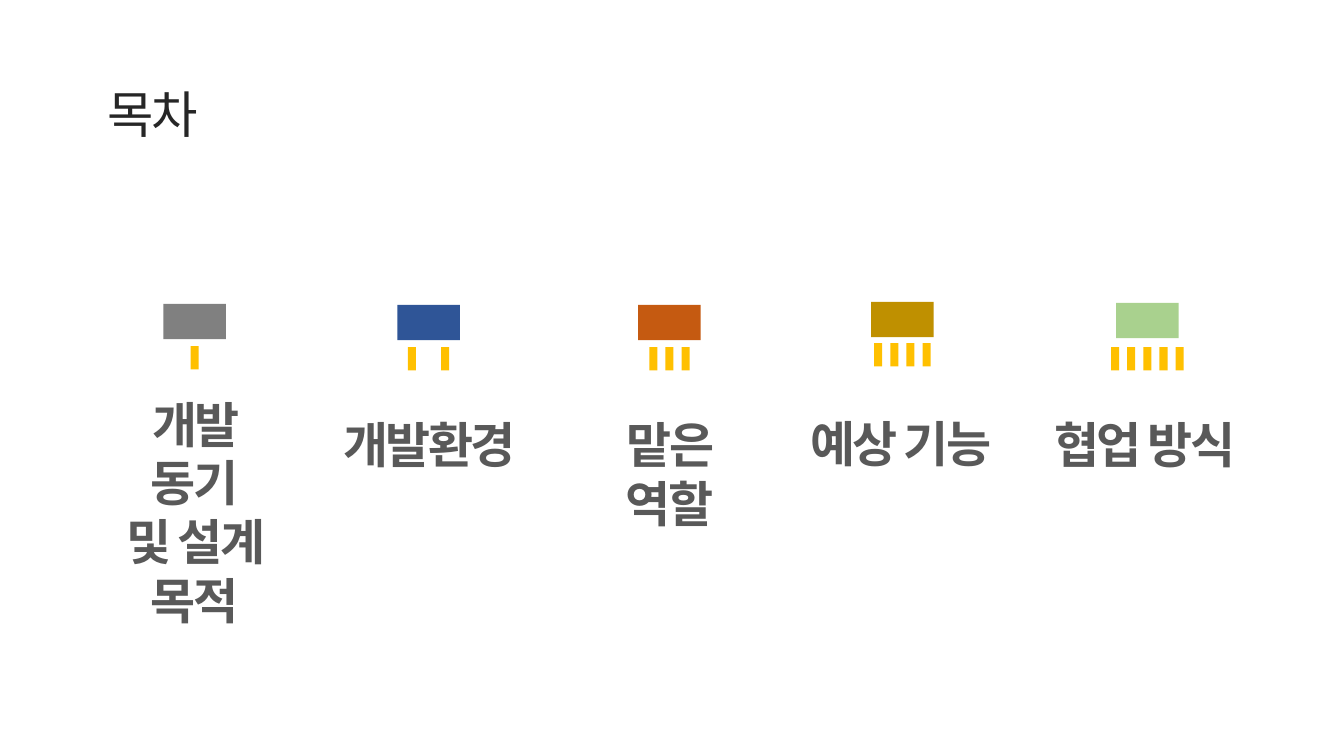
import pptx
import pptx.dml.color
import pptx.enum.shapes
import pptx.enum.text
import pptx.oxml
import pptx.oxml.ns
import pptx.util
from pptx.util import Inches

TITLE = ("목차", (0.97, 0.73, 5.94, 0.71))

SECTIONS = [
    dict(lines=["개발 동기", "및 설계 목적"], color="808080", center=1.93,
         block_y=3.19, tick_y=3.55, text_box=(0.94, 3.81, 1.98, 1.28)),
    dict(lines=["개발환경"], color="2F5597", center=4.25,
         block_y=3.2, tick_y=3.56, text_box=(3.28, 4.01, 1.96, 0.69)),
    dict(lines=["맡은 역할"], color="C55A11", center=6.64,
         block_y=3.2, tick_y=3.56, text_box=(5.81, 4.01, 1.66, 0.69)),
    dict(lines=["예상 기능"], color="BF9000", center=8.95,
         block_y=3.17, tick_y=3.52, text_box=(7.54, 4, 2.79, 0.69)),
    dict(lines=["협업 방식"], color="A9D18E", center=11.38,
         block_y=3.18, tick_y=3.56, text_box=(9.95, 4.01, 2.81, 0.69)),
]

THEME = dict(
    font="Noto Sans CJK KR",
    tick="FFC000",
    title=dict(size=36, color="262626", bold=False, spacing=-1.5, leading=43),
    label=dict(size=35, color="595959", bold=True, spacing=-1.8, leading=42),
)

BLOCK = (0.62, 0.35)
TICK = (0.08, 0.23)
TICK_PITCH = 0.16
PAIR_PITCH = 0.33


def rgb(value):
    return pptx.dml.color.RGBColor.from_string(value)


def add_bar(shapes, center_x, center_y, size, color):
    w, h = size
    sp = shapes.add_shape(
        pptx.enum.shapes.MSO_SHAPE.RECTANGLE,
        Inches(center_x - w / 2), Inches(center_y - h / 2), Inches(w), Inches(h))
    sp.shadow.inherit = False
    sp.fill.solid()
    sp.fill.fore_color.rgb = rgb(color)
    sp.line.fill.background()


def add_text(shapes, box, lines, style, align):
    tf = shapes.add_textbox(*map(Inches, box)).text_frame
    tf.word_wrap = True
    tf.auto_size = pptx.enum.text.MSO_AUTO_SIZE.SHAPE_TO_FIT_TEXT
    tf.margin_top, tf.margin_bottom = Inches(0.1), 0
    tf.text = "\n".join(lines)
    for p in tf.paragraphs:
        p.alignment = align
        p.line_spacing = pptx.util.Pt(style["leading"])
        p.font.name = THEME["font"]
        p.font.size = pptx.util.Pt(style["size"])
        p.font.bold = style["bold"]
        p.font.color.rgb = rgb(style["color"])
        props = p._p.pPr.find(pptx.oxml.ns.qn("a:defRPr"))
        props.set("spc", str(round(style["spacing"] * 100)))
        ea = pptx.oxml.parse_xml(
            f'<a:ea {pptx.oxml.ns.nsdecls("a")} typeface="{THEME["font"]}"/>')
        props.append(ea)


def add_section(slide, number, section):
    shapes = slide.shapes.add_group_shape().shapes
    center = section["center"]
    add_bar(shapes, center, section["block_y"], BLOCK, section["color"])
    pitch = PAIR_PITCH if number == 2 else TICK_PITCH
    for i in range(number):
        x = center + (i - (number - 1) / 2) * pitch
        add_bar(shapes, x, section["tick_y"], TICK, THEME["tick"])
    add_text(shapes, section["text_box"], section["lines"], THEME["label"],
             pptx.enum.text.PP_ALIGN.CENTER)


def main():
    prs = pptx.Presentation()
    prs.slide_width, prs.slide_height = Inches(13.33), Inches(7.5)
    slide = prs.slides.add_slide(prs.slide_layouts[6])
    text, box = TITLE
    add_text(slide.shapes, box, [text], THEME["title"], pptx.enum.text.PP_ALIGN.LEFT)
    for number, section in enumerate(SECTIONS, 1):
        add_section(slide, number, section)
    prs.save("out.pptx")


if __name__ == "__main__":
    main()
